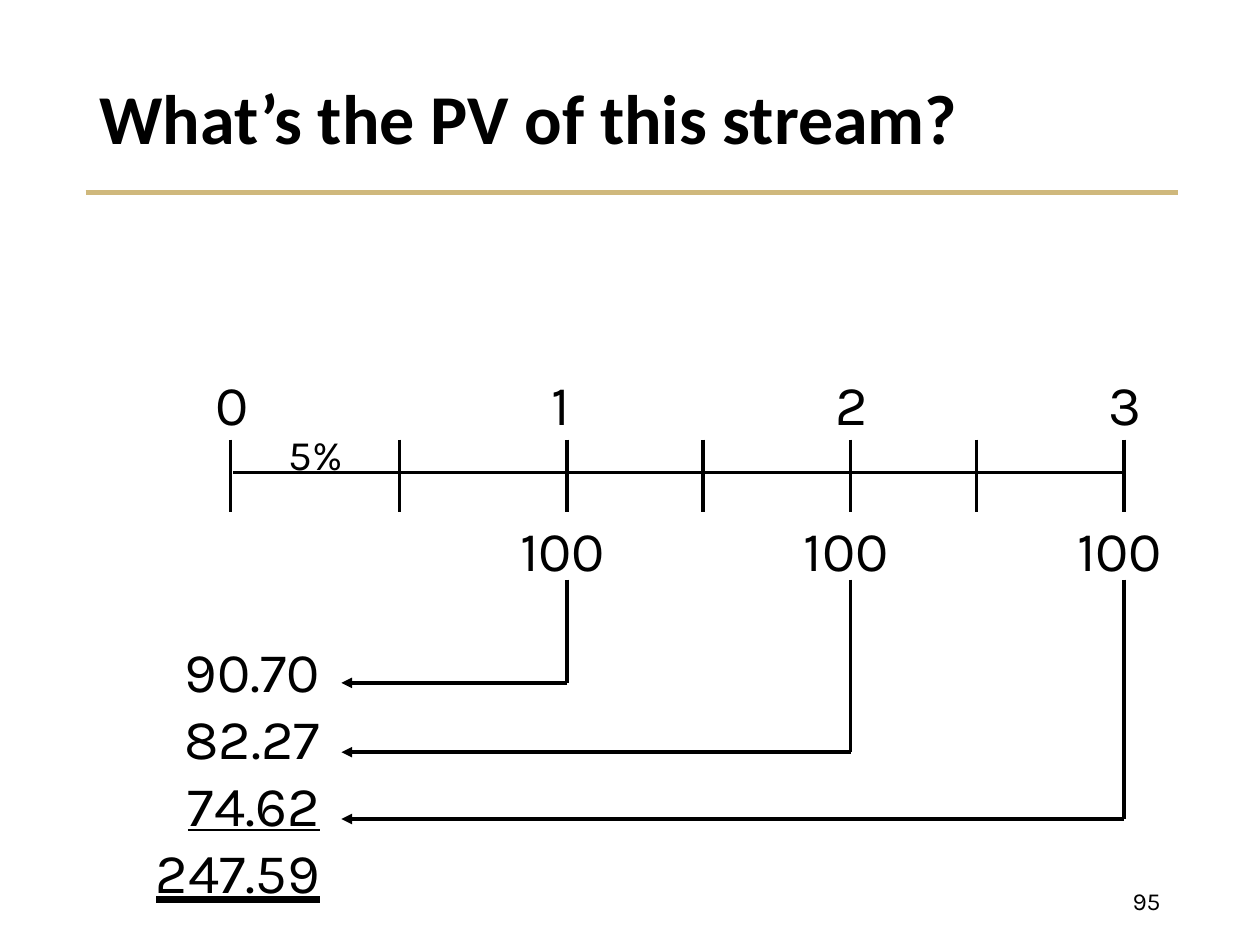
import pptx
import pptx.util
import pptx.dml.color
import pptx.enum.text
import pptx.enum.shapes
import pptx.oxml.ns
from lxml import etree

Inches = pptx.util.Inches
Pt = pptx.util.Pt
RGB = pptx.dml.color.RGBColor
ALIGN = pptx.enum.text.PP_ALIGN
ANCHOR = pptx.enum.text.MSO_ANCHOR
qn = pptx.oxml.ns.qn

BLACK = RGB(0x00, 0x00, 0x00)
GOLD = RGB(0xCF, 0xB8, 0x7C)
BODY = {"name": "Karla", "size": Pt(32)}
HEAD = {"name": "Calibri", "size": Pt(40), "bold": True}

YEARS = [0, 2.67, 4.92, 7.09]  # offsets from year 0
HALVES = [1.34, 3.75, 5.92]
FLOWS = ["100", "100", "100"]
VALUES = ["90.70", "82.27", "74.62", "247.59"]
ROWS = [0.42, 0.97, 1.5]  # arrow heights below the top of the values


def style(font, look):
    for key, value in look.items():
        setattr(font, key, value)
    font.color.rgb = BLACK


def line(slide, x1, y1, x2, y2, color=BLACK, width=2, arrow=False):
    link = slide.shapes.add_connector(
        pptx.enum.shapes.MSO_CONNECTOR.STRAIGHT,
        Inches(x1), Inches(y1), Inches(x2), Inches(y2))
    link.line.color.rgb = color
    link.line.width = Pt(width)
    if arrow:
        tail = etree.SubElement(link.line._get_or_add_ln(), qn("a:tailEnd"))
        tail.set("type", "triangle")
    etree.SubElement(link._element.spPr, qn("a:effectLst"))


def text(slide, box, lines, look=BODY, align=ALIGN.LEFT, anchor=ANCHOR.TOP):
    """Add a text box with one paragraph for each line; return its paragraphs."""
    shape = slide.shapes.add_textbox(*(Inches(n) for n in box))
    frame = shape.text_frame
    frame.word_wrap = False
    frame.vertical_anchor = anchor
    frame.text = "\n".join(lines)
    for par in frame.paragraphs:
        par.alignment = align
        style(par.runs[0].font, look)
    return frame.paragraphs


def header(slide, left, top, width, height):
    title = slide.shapes.title
    place = {"left": left, "top": top, "width": width, "height": height}
    for key, value in place.items():
        setattr(title, key, Inches(value))
    frame = title.text_frame
    frame.text = "What’s the PV of this stream?"
    frame.vertical_anchor = ANCHOR.MIDDLE
    par = frame.paragraphs[0]
    par.alignment = ALIGN.LEFT
    par.line_spacing = 0.9
    style(par.runs[0].font, HEAD)
    base = top + height
    line(slide, left - 0.01, base, left + width + 0.04, base, GOLD, 3)


def timeline(slide, left, top):
    """Draw the axis with years above and cash flows below."""
    axis = top + 0.87
    line(slide, left + 0.02, axis, left + YEARS[-1] + 0.02, axis)
    for step in YEARS + HALVES:
        line(slide, left + step, top + 0.61, left + step, top + 1.18)
    for year, step in enumerate(YEARS):
        text(slide, (left + step - 0.22, top, 0.44, 0.63), [str(year)])
    for flow, step in zip(FLOWS, YEARS[1:]):
        text(slide, (left + step - 0.47, top + 1.16, 0.93, 0.63), [flow])
    text(slide, (left + 0.36, top + 0.47, 0.71, 0.5), ["5%"],
         {**BODY, "size": Pt(24)})


def present(slide, left, top, width, height, origin):
    """List the discounted values and lead each cash flow to its own."""
    for step, row in zip(YEARS[1:], ROWS):
        x, y = origin + step, top + row
        line(slide, x, top - 0.4, x, y)
        line(slide, x, y, left + width + 0.07, y, arrow=True)
    pars = text(slide, (left, top, width, height), VALUES, align=ALIGN.RIGHT)
    pars[2].runs[0].font.underline = True
    rule = top + 2.14
    line(slide, left + 0.13, rule, left + width - 0.1, rule, width=4)


def number(slide, left, top, width, height):
    text(slide, (left, top, width, height), ["95"],
         {**BODY, "size": Pt(14)}, ALIGN.RIGHT, ANCHOR.MIDDLE)


def main():
    deck = pptx.Presentation()
    deck.slide_width, deck.slide_height = Inches(10), Inches(7.5)
    slide = deck.slides.add_slide(deck.slide_layouts.get_by_name("Title Only"))
    header(slide, 0.69, 0.4, 8.62, 1.13)
    timeline(slide, 1.83, 2.88)
    present(slide, 1.11, 5, 1.53, 2.25, 1.83)
    number(slide, 7.06, 6.95, 2.25, 0.4)
    deck.save("out.pptx")


if __name__ == "__main__":
    main()
